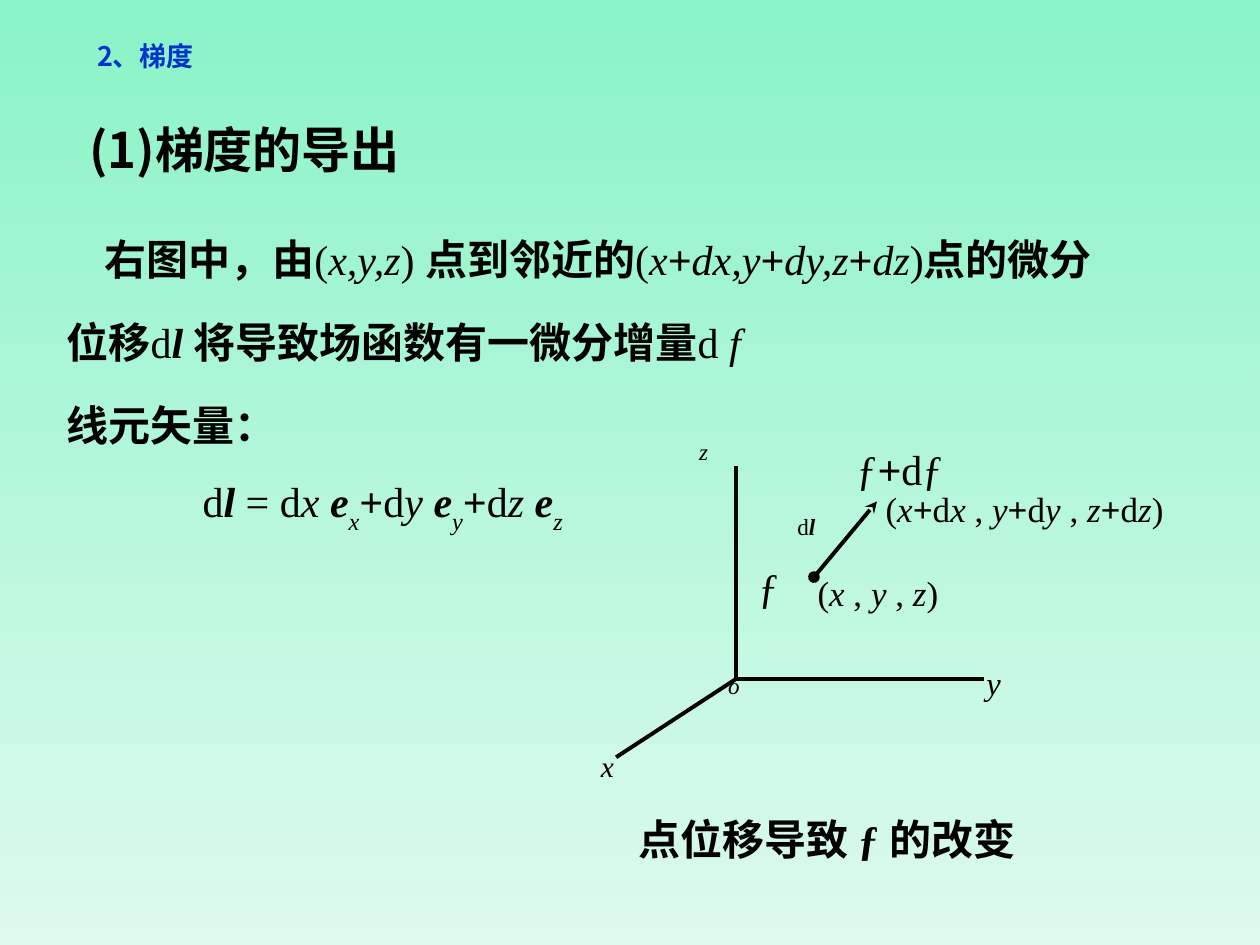
from lxml.etree import SubElement
from pptx import Presentation
from pptx.dml.color import RGBColor
from pptx.enum.shapes import MSO_CONNECTOR
from pptx.enum.text import MSO_ANCHOR, MSO_AUTO_SIZE, PP_ALIGN
from pptx.oxml.ns import qn
from pptx.util import Inches, Pt

BLUE = RGBColor(0x00, 0x33, 0xCC)
BLACK = RGBColor(0, 0, 0)
MINT = RGBColor(0x8A, 0xF3, 0xC7)
PALE = RGBColor(0xDD, 0xFA, 0xED)
HAN = "Noto Sans CJK SC"
ROMAN = "Times New Roman"
COLUMNS, ROWS = 100, 75


class Lesson:
    def __init__(self):
        self.deck = Presentation()
        self.deck.slide_width, self.deck.slide_height = Inches(10), Inches(7.5)
        self.slide = self.deck.slides.add_slide(self.deck.slide_layouts[5])

    def x(self, columns):
        return round(self.deck.slide_width * columns / COLUMNS)

    def y(self, rows):
        return round(self.deck.slide_height * rows / ROWS)

    def place(self, left, top, width, height):
        return self.x(left), self.y(top), self.x(width), self.y(height)

    def background(self, top, bottom):
        fill = self.slide.background.fill
        fill.gradient()
        fill.gradient_angle = 270
        for stop, color, position in zip(fill.gradient_stops, (top, bottom), (0, 1)):
            stop.color.rgb = color
            stop.position = position

    def title(self, area, words, size):
        heading = self.slide.shapes.title
        heading.left, heading.top, heading.width, heading.height = self.place(*area)
        frame = heading.text_frame
        frame.auto_size = MSO_AUTO_SIZE.NONE
        frame.vertical_anchor = MSO_ANCHOR.MIDDLE
        self.typeset(frame.paragraphs[0], [(words, "hb")], size, BLUE)
        frame.paragraphs[0].line_spacing = 0.8

    def text(self, area, *lines, size=24, wrap=False, indent=(0,), spacing=None):
        frame = self.slide.shapes.add_textbox(*self.place(*area)).text_frame
        frame.word_wrap = wrap
        for number, (runs, inset) in enumerate(zip(lines, indent)):
            paragraph = frame.add_paragraph() if number else frame.paragraphs[0]
            if inset:
                paragraph._p.get_or_add_pPr().set("indent", str(self.x(inset)))
            if number:
                paragraph.space_before = Pt(15)
            if spacing:
                paragraph.line_spacing = spacing
            self.typeset(paragraph, runs, size, BLACK)

    def typeset(self, paragraph, runs, size, color):
        paragraph.alignment = PP_ALIGN.LEFT
        font = paragraph.font
        font.size, font.name, font.color.rgb = Pt(size), ROMAN, color
        for words, style in runs:
            run = paragraph.add_run()
            run.text = words
            run.font.bold = "b" in style
            run.font.italic = "i" in style
            if "h" in style:
                run.font.name = HAN
                SubElement(run._r.get_or_add_rPr(), qn("a:ea"), typeface=HAN)
            if "s" in style:
                run._r.get_or_add_rPr().set("baseline", "-30000")

    def line(self, start, end, head=None, tail=None):
        stroke = self.slide.shapes.add_connector(
            MSO_CONNECTOR.STRAIGHT,
            self.x(start[0]), self.y(start[1]), self.x(end[0]), self.y(end[1]))
        stroke.line.width = Pt(2.25)
        stroke.line.color.rgb = BLACK
        outline = stroke.line._get_or_add_ln()
        for tag, kind in (("a:headEnd", head), ("a:tailEnd", tail)):
            if kind:
                SubElement(outline, qn(tag), type=kind)
        SubElement(stroke._element.spPr, qn("a:effectLst"))


def main():
    lesson = Lesson()
    lesson.background(MINT, PALE)
    lesson.title((6.7, 2.8, 20.5, 3.8), "2、梯度", 15.4)
    lesson.text((6.1, 9, 30, 5.7), [("(1)梯度的导出", "hb")], size=28)

    plus = ("+", "b")
    lesson.text(
        (4.3, 15.4, 85.8, 14.2),
        [("右图中，由", "hb"), ("(", ""), ("x,y,z", "i"), (") ", ""),
         ("点到邻近的", "hb"), ("(", ""), ("x", "i"), plus, ("dx,y", "i"), plus,
         ("dy,z", "i"), plus, ("dz", "i"), (")", ""), ("点的微分位移", "hb"),
         ("d", ""), ("l ", "bi"), ("将导致场函数有一微分增量", "hb"),
         ("d ", ""), ("f", "i")],
        wrap=True, indent=(3,), spacing=1.65)

    line_element = [("d", ""), ("l ", "bi"), ("= ", "")]
    moved_point = [("(", "")]
    for axis in "xyz":
        if axis != "x":
            line_element.append(plus)
            moved_point.append((" , ", ""))
        line_element += [("d", ""), (axis + " ", "i"), ("e", "bi"), (axis, "is")]
        moved_point += [(axis, "i"), plus, ("d", ""), (axis, "i")]
    moved_point.append((")", ""))
    lesson.text((4.3, 31.2, 49.6, 11.8), [("线元矢量：", "hb")], line_element,
                wrap=True, indent=(0, 10.8))

    origin = (58.4, 53.9)
    for axis_end in ((58.4, 37), (78.1, 53.9), (48.9, 60.1)):
        lesson.line(origin, axis_end)
    lesson.line((64.6, 45.8), (69.6, 39.8), head="oval", tail="stealth")

    for name, area, size in (("x", (46.7, 58.9, 5.5, 3.9), 16.8),
                             ("y", (77.3, 52.1, 3.8, 4.3), 18.6),
                             ("z", (54.5, 34.2, 5, 3.2), 13.2),
                             ("o", (56.8, 52.8, 5, 3.2), 13.2)):
        lesson.text(area, [(name, "i")], size=size, wrap=True)

    lesson.text((62.3, 40.2, 8.6, 3.2), [("d", ""), ("l", "bi")], size=13.2, wrap=True)
    lesson.text((59.2, 44.1, 6.3, 5.7), [("ƒ", "")], wrap=True)
    lesson.text((67, 34.7, 13.4, 5.5), [("ƒ", ""), plus, ("dƒ", "")], wrap=True)
    lesson.text((63.9, 44.9, 15, 4.7),
                [("(", ""), ("x", "i"), (" , ", ""), ("y", "i"), (" , ", ""),
                 ("z", "i"), (")", "")], size=20, wrap=True)
    lesson.text((69.3, 38.2, 28.4, 6.3), moved_point, size=20, wrap=True)
    lesson.text((47.4, 64.1, 41.7, 6.3),
                [("点位移导致 ", "hb"), ("ƒ ", "b"), ("的改变", "hb")],
                wrap=True, indent=(2.3,))
    lesson.deck.save("out.pptx")


if __name__ == "__main__":
    main()
